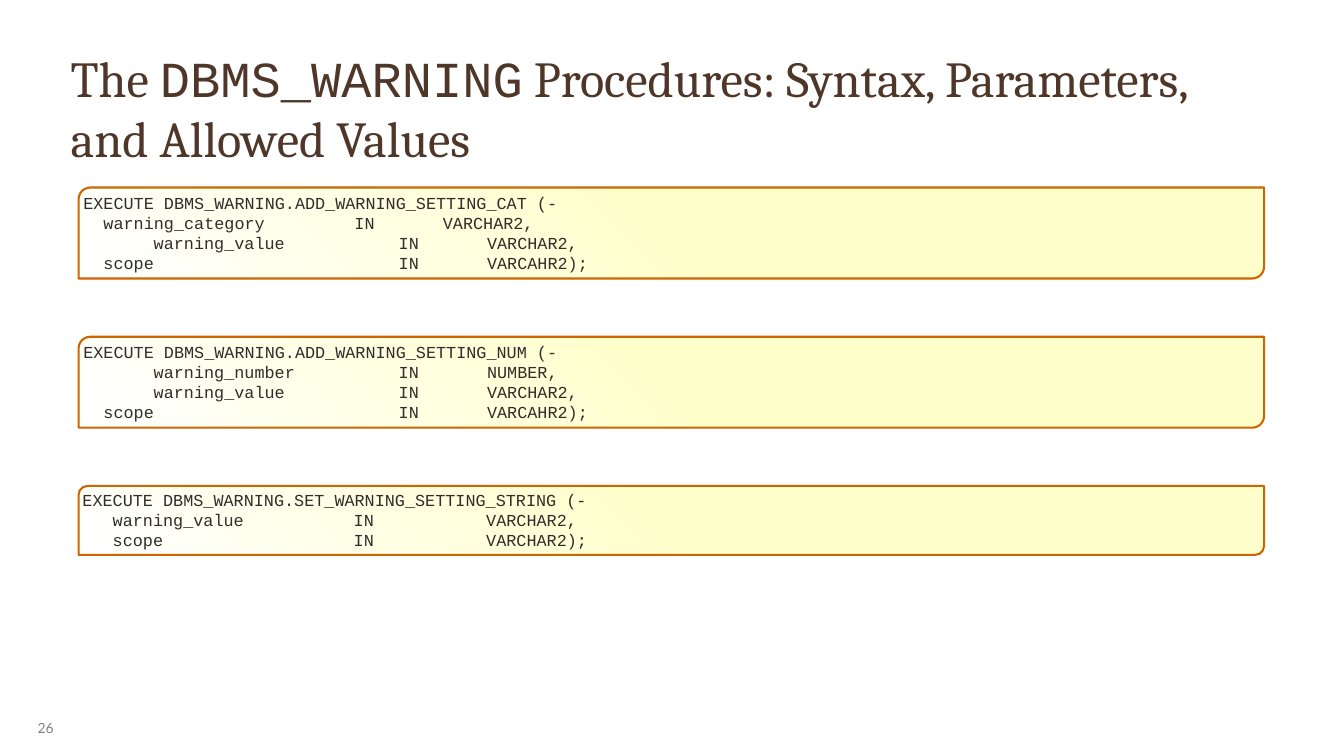
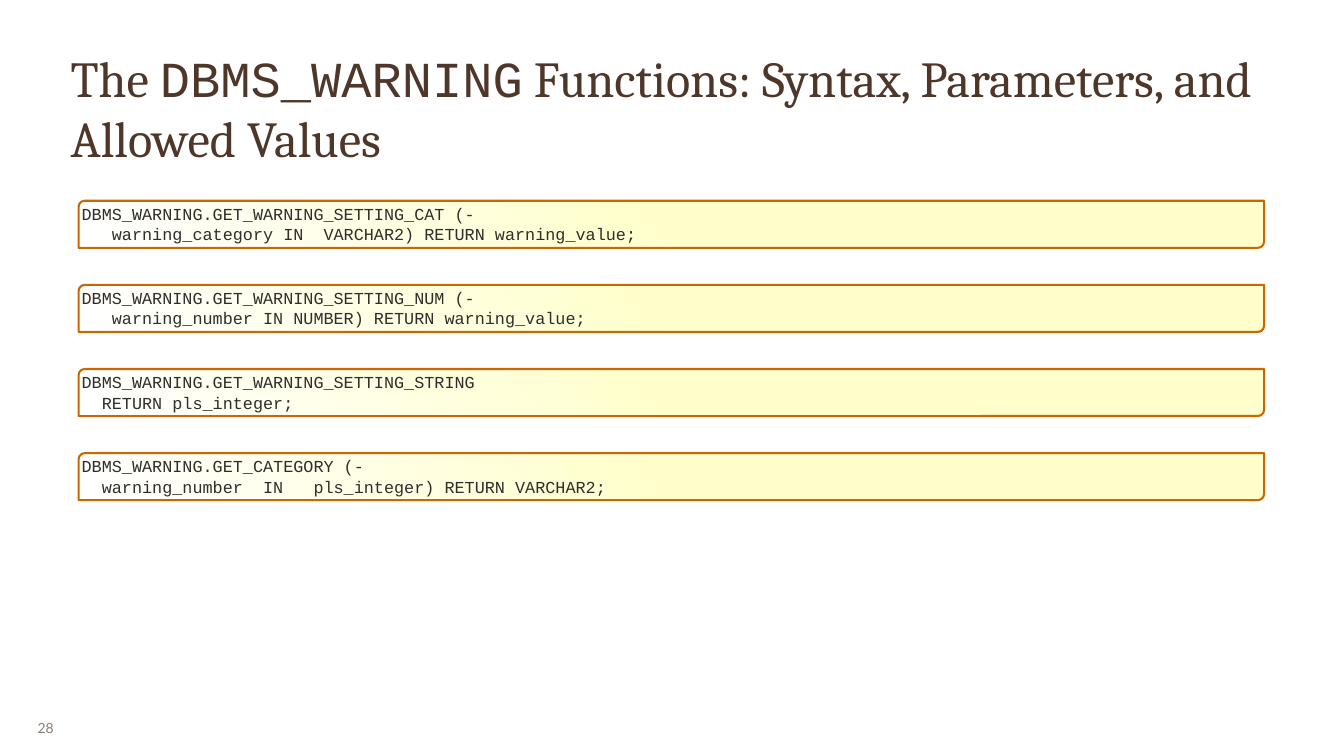
from copy import deepcopy

from lxml.etree import SubElement
from pptx import Presentation
from pptx.dml.color import RGBColor
from pptx.enum.shapes import MSO_SHAPE as Shape
from pptx.enum.text import MSO_ANCHOR as Anchor, MSO_AUTO_SIZE as AutoSize, PP_ALIGN as Align
from pptx.oxml.ns import qn
from pptx.util import Cm, Pt

# Shared look
TITLE_COLOR, CODE_COLOR, NUMBER_COLOR = "4E3629", "312D2A", "8B8078"
BORDER_COLOR = "CC6600"
GRADIENT = [(0, "FFFFCC"), (0.5, "FFFFCC"), (1, "FFFFFF")]
TITLE_FONT, CODE_FONT, NUMBER_FONT = "Cambria", "Courier New", "Lato"
CODE_INDENT, DEFAULT_TAB = Cm(1.9), Cm(1.67)
TAB_STOPS = [(Cm(1.68), "r"), (Cm(2.79), "l")]

# Page number, subject of the title, top and pitch of the code boxes in cm, code
PAGES = [
    ("26", "Procedures", 7.09, 5.64, [
        ["EXECUTE DBMS_WARNING.ADD_WARNING_SETTING_CAT (-",
         "  warning_category \t\tIN \t\tVARCHAR2,",
         "\t  warning_value \t\t\tIN \t\tVARCHAR2,",
         "  scope \t\t\t\t\t\tIN \t\tVARCAHR2);"],
        ["EXECUTE DBMS_WARNING.ADD_WARNING_SETTING_NUM (-",
         "\t  warning_number \t\t\tIN \t\tNUMBER,",
         "\t  warning_value \t\t\tIN \t\tVARCHAR2,",
         "  scope \t\t\t\t\t\tIN \t\tVARCAHR2);"],
        ["EXECUTE DBMS_WARNING.SET_WARNING_SETTING_STRING (-",
         "   warning_value   \t\tIN   \t\tVARCHAR2,",
         "   scope           \t\tIN   \t\tVARCHAR2);"],
    ]),
    ("28", "Functions", 7.59, 3.18, [
        ["DBMS_WARNING.GET_WARNING_SETTING_CAT (-",
         "   warning_category IN  VARCHAR2) RETURN warning_value;"],
        ["DBMS_WARNING.GET_WARNING_SETTING_NUM (-",
         "   warning_number IN NUMBER) RETURN warning_value;"],
        ["DBMS_WARNING.GET_WARNING_SETTING_STRING",
         "  RETURN pls_integer;"],
        ["DBMS_WARNING.GET_CATEGORY (-",
         "  warning_number  IN   pls_integer) RETURN VARCHAR2;"],
    ]),
]


def rgb(value):
    return RGBColor.from_string(value)


def set_frame(frame, inset_x, inset_y, anchor, wrap=True):
    frame.margin_left = frame.margin_right = Cm(inset_x)
    frame.margin_top = frame.margin_bottom = Cm(inset_y)
    frame.vertical_anchor = anchor
    frame.word_wrap = wrap


deck = Presentation()
deck.slide_width, deck.slide_height = Cm(50.8), Cm(28.58)

for number, subject, first_top, pitch, listings in PAGES:
    page = deck.slides.add_slide(deck.slide_layouts[6])

    # Page number
    box = page.shapes.add_textbox(Cm(1.09), Cm(26.77), Cm(1.65), Cm(1.47))
    set_frame(box.text_frame, 0.33, 0.18, Anchor.MIDDLE, wrap=False)
    para = box.text_frame.paragraphs[0]
    para.text = number
    para.alignment = Align.JUSTIFY
    para.font.name, para.font.size = NUMBER_FONT, Pt(15)
    para.font.color.rgb = rgb(NUMBER_COLOR)

    # Code boxes
    for row, lines in enumerate(listings):
        box = page.shapes.add_shape(
            Shape.ROUND_2_DIAG_RECTANGLE, Cm(2.97), Cm(first_top + row * pitch),
            Cm(44.81), Cm(0.12 + 0.83 * len(lines)))
        box.adjustments[0], box.adjustments[1] = 0.13, 0
        box.shadow.inherit = False
        box.line.color.rgb = rgb(BORDER_COLOR)
        box.line.width = Pt(2.25)

        # The default gradient has two stops, so one more is added
        box.fill.gradient()
        box.fill.gradient_angle = 225
        stop_list = box._element.spPr.find(".//" + qn("a:gsLst"))
        stop_list.append(deepcopy(stop_list[-1]))
        for stop, (position, color) in zip(box.fill.gradient_stops, GRADIENT):
            stop.position = position
            stop.color.rgb = rgb(color)

        frame = box.text_frame
        set_frame(frame, 0.05, 0.05, Anchor.TOP)
        frame.auto_size = AutoSize.SHAPE_TO_FIT_TEXT
        for index, line in enumerate(lines):
            para = frame.add_paragraph() if index else frame.paragraphs[0]
            para.add_run().text = line
            para.alignment = Align.LEFT
            settings = para._p.get_or_add_pPr()
            settings.set("marL", str(CODE_INDENT))
            settings.set("indent", str(-CODE_INDENT))
            settings.set("defTabSz", str(DEFAULT_TAB))
            tabs = SubElement(settings, qn("a:tabLst"))
            for position, side in TAB_STOPS:
                SubElement(tabs, qn("a:tab"), pos=str(position), algn=side)
            para.font.name, para.font.size = CODE_FONT, Pt(18)
            para.font.color.rgb = rgb(CODE_COLOR)

    # Title
    box = page.shapes.add_textbox(Cm(2.59), Cm(1.7), Cm(45.62), Cm(3.25))
    set_frame(box.text_frame, 0.08, 0.08, Anchor.TOP)
    para = box.text_frame.paragraphs[0]
    para.font.size = Pt(54)
    para.font.color.rgb = rgb(TITLE_COLOR)
    for text, font in [
        ("The ", TITLE_FONT),
        ("DBMS_WARNING", CODE_FONT),
        (f" {subject}: Syntax, Parameters, and Allowed Values", TITLE_FONT),
    ]:
        span = para.add_run()
        span.text = text
        span.font.name = font

deck.save("out.pptx")
